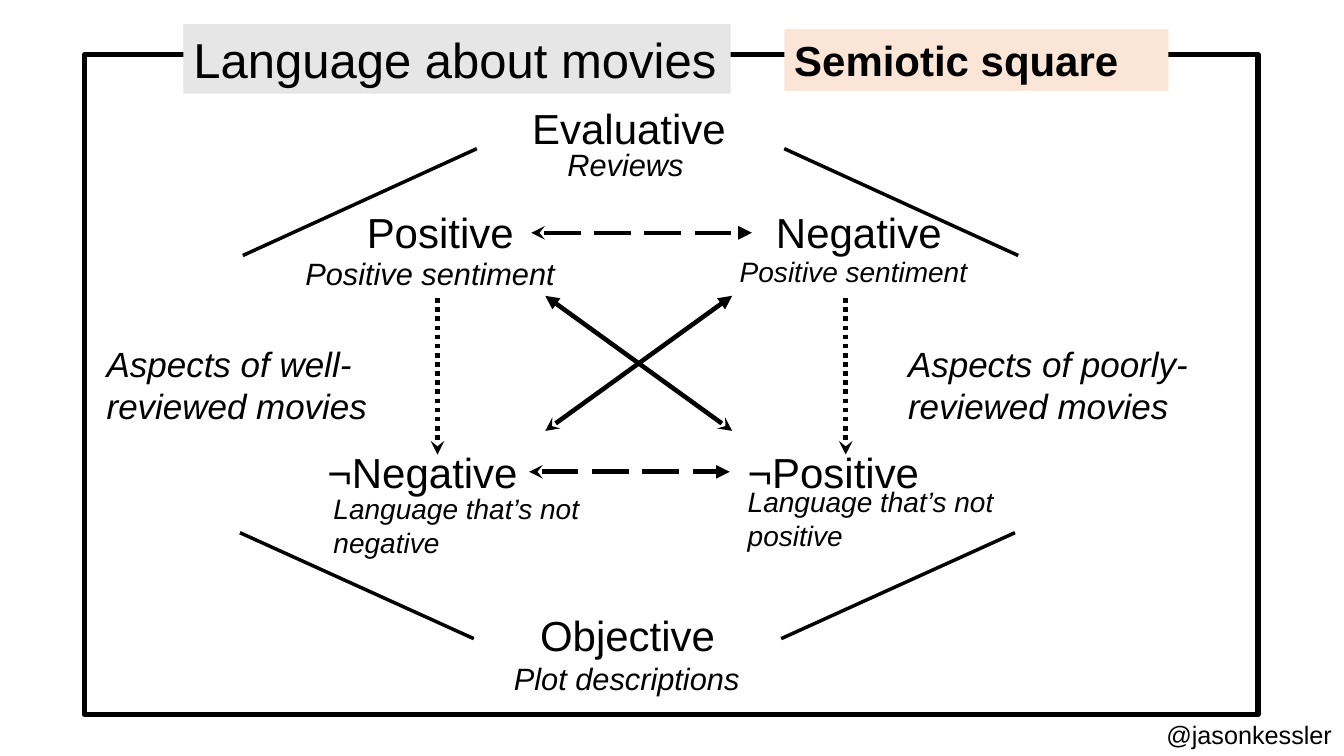
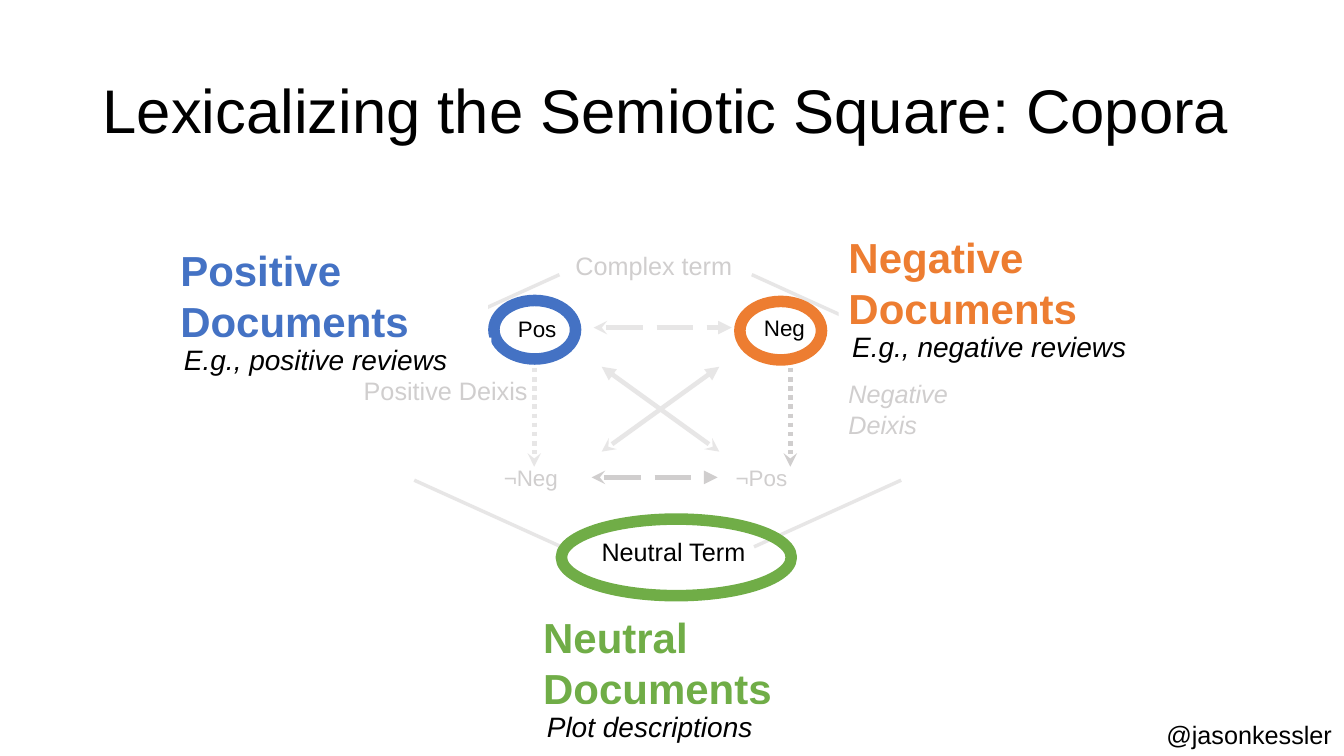
import lxml.etree
import pptx
import pptx.dml.color
import pptx.enum.dml
import pptx.enum.shapes
import pptx.enum.text
import pptx.oxml.ns
import pptx.util

Pt = pptx.util.Pt
qn = pptx.oxml.ns.qn
SHAPES = pptx.enum.shapes.MSO_SHAPE
DASHES = pptx.enum.dml.MSO_LINE

FONT = "Arial"
SLIDE_WIDTH, SLIDE_HEIGHT = 960, 540
COLORS = {
    "ink": "000000",
    "paper": "FFFFFF",
    "soft": "E7E6E6",
    "muted": "D0CECE",
    "peach": "FBE5D6",
    "positive": "4472C4",
    "negative": "ED7D31",
    "neutral": "70AD47",
}


def color(name):
    return pptx.dml.color.RGBColor.from_string(COLORS[name])


# Shared building blocks; every box is (left, top, width, height) in points
def inside(box, left, top, width, height):
    return box[0] + left, box[1] + top, width, height


def write(shape, text, size, ink="ink", bold=False, italic=False, wrap=True):
    frame = shape.text_frame
    frame.word_wrap = wrap
    frame.vertical_anchor = pptx.enum.text.MSO_ANCHOR.TOP
    paragraph = frame.paragraphs[0]
    paragraph.text = text
    paragraph.alignment = pptx.enum.text.PP_ALIGN.LEFT
    font = paragraph.font
    font.name, font.size = FONT, Pt(size)
    font.bold, font.italic = bold, italic
    font.color.rgb = color(ink)
    return frame


def add_label(slide, box, text, size, **style):
    shape = slide.shapes.add_textbox(*map(Pt, box))
    return write(shape, text, size, **style)


def add_panel(slide, kind, box, fill=None, line=None, weight=0):
    shape = slide.shapes.add_shape(kind, *map(Pt, box))
    shape.shadow.inherit = False
    if fill:
        shape.fill.solid()
        shape.fill.fore_color.rgb = color(fill)
    else:
        shape.fill.background()
    if line:
        shape.line.color.rgb = color(line)
        shape.line.width = Pt(weight)
    else:
        shape.line.fill.background()
    return shape


def add_line(slide, box, start, end, ink, weight=3.25, dash=None, head=None, tail=None):
    points = [box[0] + start[0], box[1] + start[1], box[0] + end[0], box[1] + end[1]]
    connector = slide.shapes.add_connector(
        pptx.enum.shapes.MSO_CONNECTOR.STRAIGHT, *map(Pt, points))
    connector.line.color.rgb = color(ink)
    connector.line.width = Pt(weight)
    if dash:
        connector.line.dash_style = dash
    properties = connector._element.spPr
    outline = properties.find(qn("a:ln"))
    for tag, arrow in (("a:headEnd", head), ("a:tailEnd", tail)):
        if arrow:
            lxml.etree.SubElement(outline, qn(tag)).set("type", arrow)
    lxml.etree.SubElement(properties, qn("a:effectLst"))


def add_square_lines(slide, box, rows, columns, cross, sides, inks):
    """Draw the arrows of a semiotic square and the four slanted sides around it."""
    both_ends = {"head": "stealth", "tail": "triangle"}
    # Dashed contrary arrows
    for (left, right, y), ink in zip(rows, inks["rows"]):
        add_line(slide, box, (left, y), (right, y), ink,
                 dash=DASHES.LONG_DASH, **both_ends)
    # Dotted implication arrows
    *column_xs, top, bottom = columns
    for x, ink in zip(column_xs, inks["columns"]):
        add_line(slide, box, (x, top), (x, bottom), ink,
                 dash=DASHES.ROUND_DOT, tail="stealth")
    # Crossed contradiction arrows
    left, top, right, bottom = cross
    for start_x, end_x in ((right, left), (left, right)):
        add_line(slide, box, (start_x, bottom), (end_x, top), inks["cross"], **both_ends)
    # Slanted sides, mirrored about their centre
    for center, inner, inner_y, outer, outer_y in sides:
        for sign in (-1, 1):
            add_line(slide, box, (center + sign * inner, inner_y),
                     (center + sign * outer, outer_y), inks["sides"], weight=2.5)


def add_handle(slide):
    add_label(slide, (826, 510, 134, 29), "@jasonkessler", 18, wrap=False)


# Slide 1: square in a frame
def add_framed_square(slide, box):
    add_panel(slide, SHAPES.RECTANGLE, box, line="ink", weight=4)
    banners = [
        ("Language about movies", (70.5, -21.7, 391, 49.7), "soft", 35, False),
        ("Semiotic square", (499.7, -18.1, 274.3, 44), "peach", 30, True),
    ]
    for text, place, fill, size, bold in banners:
        banner = add_panel(slide, SHAPES.RECTANGLE, inside(box, *place), fill=fill)
        write(banner, text, size, bold=bold)

    add_square_lines(
        slide, box,
        rows=[(319, 476.6, 127.3), (317.5, 460.8, 298)],
        columns=(252, 543.6, 174, 285.7),
        cross=(329, 172.3, 462.5, 268.8),
        sides=[(389.9, 109.8, 67.2, 276.9, 143.5), (387.7, 109.8, 417.2, 276.8, 341.5)],
        inks={"rows": ["ink"] * 2, "columns": ["ink"] * 2, "cross": "ink", "sides": "ink"})

    # Terms of the square
    terms = [
        ("Evaluative", 312.5, 30.8, 154), ("Objective", 318.2, 393, 140),
        ("Positive", 194.4, 105, 120), ("Negative", 486.7, 105, 134),
        ("¬Negative", 166.3, 276.4, 151), ("¬Positive", 466.5, 276.4, 151),
    ]
    for text, left, top, width in terms:
        add_label(slide, inside(box, left, top, width, 44), text, 30, wrap=False)

    # Explanations in italics
    notes = [
        ("Reviews", 337.7, 61.8, 98.6, 22, False),
        ("Plot descriptions", 299.5, 429, 178, 22, False),
        ("Positive sentiment", 150.5, 139.5, 195, 22, False),
        ("Positive sentiment", 460.8, 139.5, 178.5, 20, False),
        ("Language that’s not negative", 170.6, 308.8, 256, 20, True),
        ("Language that’s not positive", 466.5, 303.7, 256, 20, True),
        ("Aspects of well-reviewed movies", 8.6, 202.2, 209, 25, True),
        ("Aspects of poorly-reviewed movies", 581, 202.2, 256, 25, True),
    ]
    for text, left, top, width, size, wrap in notes:
        add_label(slide, inside(box, left, top, width, 2.5 * size if wrap else 1.5 * size),
                  text, size, italic=True, wrap=wrap)


# Slide 2: faded square with three ringed terms
def add_faded_square(slide, box):
    add_square_lines(
        slide, box,
        rows=[(172, 270.7, 60), (170.6, 260.6, 167)],
        columns=(129.6, 312.5, 88.8, 159.4),
        cross=(177.8, 88, 261.8, 148.6),
        sides=[(216.3, 68.7, 22.2, 173.9, 70), (217.8, 68.8, 216.6, 173.9, 169)],
        inks={"rows": ["soft", "muted"], "columns": ["soft", "muted"],
              "cross": "soft", "sides": "soft"})

    labels = [
        ("Pos", 110.9, 47.8, 42.5, 16, "ink"), ("Neg", 286.6, 47, 44, 16, "ink"),
        ("¬Neg", 100.8, 154.3, 64, 16, "muted"), ("¬Pos", 266.4, 154.3, 95, 16, "muted"),
        ("Neutral Term", 170.6, 205.4, 118, 18, "ink"),
        ("Complex term", 151.9, 1, 127, 18, "muted"),
        ("Positive Deixis", 0.7, 90.2, 132, 18, "muted"),
    ]
    for text, left, top, width, size, ink in labels:
        add_label(slide, inside(box, left, top, width, 29), text, size, ink=ink, wrap=False)
    add_label(slide, inside(box, 347, 93, 129.6, 51), "Negative Deixis", 18,
              ink="muted", italic=True)

    rings = [
        ("negative", 276.5, 41.3, 58.3, 41.8),
        ("positive", 100.8, 40.6, 58.3, 41.8),
        ("neutral", 149, 196.8, 164.2, 54.7),
    ]
    for ink, *place in rings:
        add_panel(slide, SHAPES.OVAL, inside(box, *place), line=ink, weight=8.25)


def add_callout(slide, box, heading, example, ink):
    heading_panel = add_panel(slide, SHAPES.RECTANGLE, inside(box, 0, 0, box[2], 80),
                              fill="paper")
    write(heading_panel, heading, 30, ink=ink, bold=True)
    example_panel = add_panel(slide, SHAPES.RECTANGLE, inside(box, 2.6, 69.8, box[2], 31.7),
                              fill="paper")
    write(example_panel, example, 20, italic=True)


def add_title(slide, box, text):
    frame = add_label(slide, box, text, 44)
    frame.vertical_anchor = pptx.enum.text.MSO_ANCHOR.MIDDLE
    frame.paragraphs[0].line_spacing = 0.9


def build_movie_slide(slide):
    add_framed_square(slide, (60.5, 39, 838, 471.5))
    add_handle(slide)


def build_corpora_slide(slide):
    add_title(slide, (66.2, 28.8, 828, 104.4), "Lexicalizing the Semiotic Square: Copora")
    add_faded_square(slide, (252, 174, 476, 252))
    callouts = [
        ("Negative Documents", "E.g., negative reviews", "negative", 599, 162),
        ("Positive Documents", "E.g., positive reviews", "positive", 121.7, 171.4),
        ("Neutral Documents", "Plot descriptions", "neutral", 380.9, 433.4),
    ]
    for heading, example, ink, left, top in callouts:
        add_callout(slide, (left, top, 226.8, 101.5), heading, example, ink)
    add_handle(slide)


def main():
    presentation = pptx.Presentation()
    presentation.slide_width = Pt(SLIDE_WIDTH)
    presentation.slide_height = Pt(SLIDE_HEIGHT)
    blank_layout = presentation.slide_layouts[6]
    for build in (build_movie_slide, build_corpora_slide):
        build(presentation.slides.add_slide(blank_layout))
    presentation.save("out.pptx")


if __name__ == "__main__":
    main()
